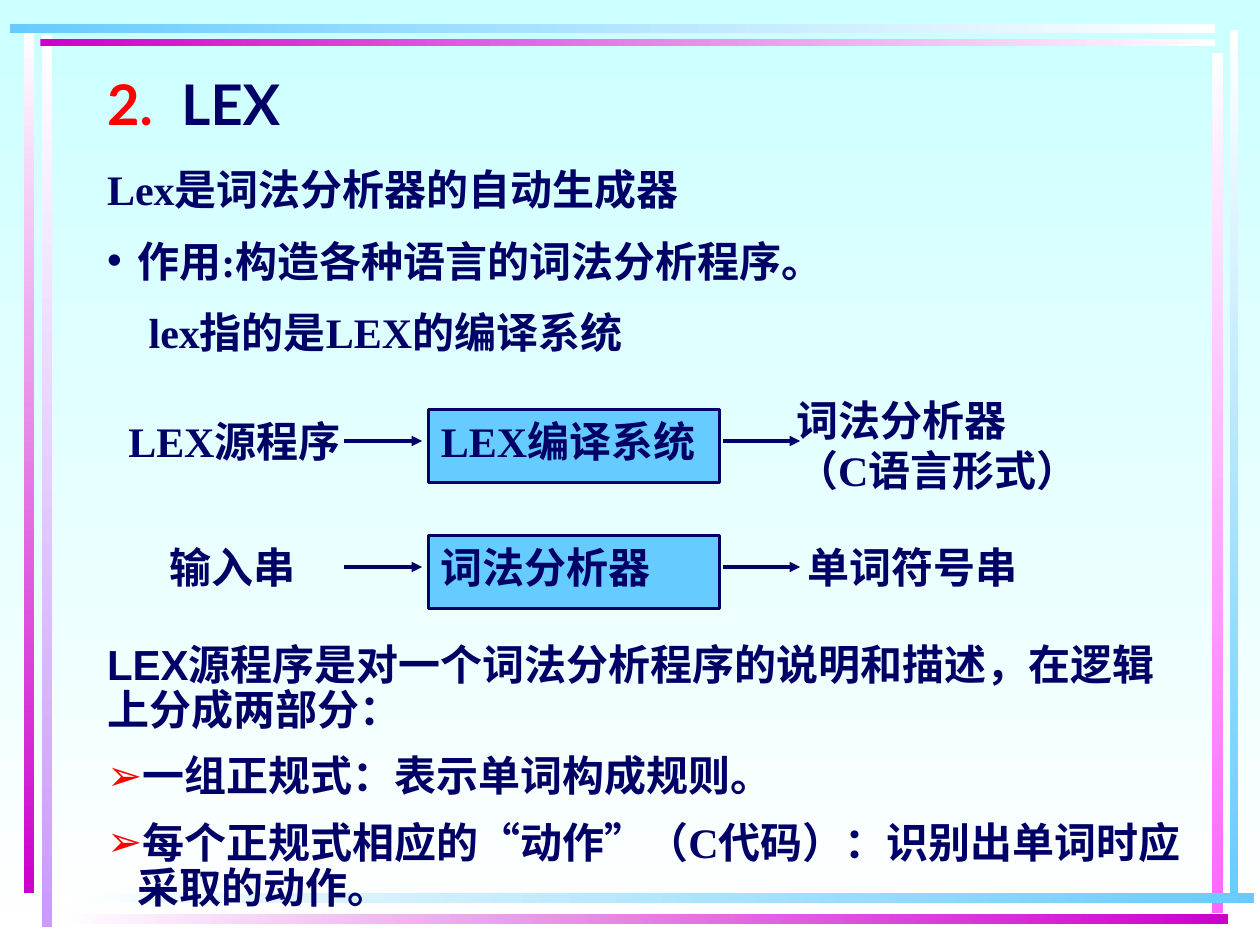
from lxml import etree
from pptx import Presentation
from pptx.dml.color import RGBColor
from pptx.enum.shapes import MSO_CONNECTOR, MSO_SHAPE
from pptx.enum.text import MSO_ANCHOR, MSO_AUTO_SIZE, PP_ALIGN
from pptx.oxml.ns import qn
from pptx.util import Inches, Pt

RECTANGLE = MSO_SHAPE.RECTANGLE
STRAIGHT = MSO_CONNECTOR.STRAIGHT
TOP = MSO_ANCHOR.TOP
NO_AUTOFIT = MSO_AUTO_SIZE.NONE
LEFT, JUSTIFY = PP_ALIGN.LEFT, PP_ALIGN.JUSTIFY

NAVY = RGBColor(0x00, 0x00, 0x66)
RED = RGBColor(0xFF, 0x00, 0x00)
WHITE = RGBColor(0xFF, 0xFF, 0xFF)
PALE_CYAN = RGBColor(0xCC, 0xFF, 0xFF)
SKY = RGBColor(0x66, 0xCC, 0xFF)
LILAC = RGBColor(0xCC, 0x99, 0xFF)
PURPLE = RGBColor(0xCC, 0x00, 0xCC)
PINK = RGBColor(0xFF, 0x66, 0xFF)


def set_gradient(fill, start, end, angle):
    fill.gradient()
    fill.gradient_angle = angle
    for stop, color in zip(fill.gradient_stops, (start, end)):
        stop.color.rgb = color


def write_text(shape, lines, alignment=LEFT, line_spacing=1.0, gap=0):
    """Each line is (text, bullet, bullet colour, left indent, hanging indent)."""
    frame = shape.text_frame
    frame.word_wrap = True
    frame.auto_size = NO_AUTOFIT
    frame.vertical_anchor = TOP
    for index, (text, bullet, bullet_color, indent, hanging) in enumerate(lines):
        paragraph = frame.paragraphs[0] if index == 0 else frame.add_paragraph()
        paragraph.alignment = alignment
        paragraph.line_spacing = line_spacing
        paragraph.space_before = Pt(gap if index else 0)
        properties = paragraph._p.get_or_add_pPr()
        properties.set("marL", str(Inches(indent)))
        properties.set("indent", str(-Inches(hanging)))
        if bullet:
            color = etree.SubElement(properties, qn("a:buClr"))
            etree.SubElement(color, qn("a:srgbClr")).set("val", str(bullet_color))
            etree.SubElement(properties, qn("a:buChar")).set("char", bullet)
        else:
            etree.SubElement(properties, qn("a:buNone"))
        if "\t" in text:
            tabs = etree.SubElement(properties, qn("a:tabLst"))
            tab = etree.SubElement(tabs, qn("a:tab"))
            tab.set("pos", str(Inches(indent)))
            tab.set("algn", "l")
        paragraph.font.name = "Times New Roman"
        paragraph.font.size = Pt(24)
        paragraph.font.bold = True
        paragraph.font.color.rgb = NAVY
        paragraph.add_run().text = text


presentation = Presentation()
presentation.slide_width = Inches(10)
presentation.slide_height = Inches(7.5)
slide = presentation.slides.add_slide(presentation.slide_layouts[3])
set_gradient(slide.background.fill, PALE_CYAN, WHITE, 270)

# Frame bars, placed behind the text: left, top, width, height, colours
bars = [
    (0.33, 0.28, 0.08, 7.08, WHITE, LILAC),
    (0.19, 0.25, 0.08, 6.84, WHITE, PURPLE),
    (9.76, 0.24, 0.07, 6.93, WHITE, SKY),
    (9.62, 0.42, 0.09, 6.83, WHITE, PINK),
    (0.45, 7.09, 9.5, 0.08, WHITE, SKY),
    (0.45, 7.25, 9.3, 0.08, WHITE, PURPLE),
    (0.32, 0.31, 9.32, 0.06, PURPLE, WHITE),
    (0.08, 0.19, 9.56, 0.07, SKY, WHITE),
]
for position, (left, top, width, height, start, end) in enumerate(bars, 2):
    bar = slide.shapes.add_shape(
        RECTANGLE, Inches(left), Inches(top), Inches(width), Inches(height))
    bar.shadow.inherit = False
    bar.line.fill.background()
    set_gradient(bar.fill, start, end, 270 if height > width else 0)
    slide.shapes._spTree.insert(position, bar._element)

# Title and the two lists
title, introduction, parts = slide.placeholders
for placeholder, box in (
    (title, (0.75, 0.5, 8.5, 0.67)),
    (introduction, (0.75, 1.25, 8.17, 1.7)),
    (parts, (0.75, 5.06, 8.83, 2.3)),
):
    placeholder.left, placeholder.top, placeholder.width, placeholder.height = map(Inches, box)

write_text(title, [("2.", None, None, 0.59, 0.59)])
heading = title.text_frame.paragraphs[0]
tabs = etree.SubElement(heading._p.pPr, qn("a:tabLst"))
etree.SubElement(tabs, qn("a:tab")).set("pos", str(Inches(0.59)))
heading._p.pPr.find(qn("a:buNone")).addnext(tabs)
heading.font.name = "Lato"
heading.font.size = Pt(32)
heading.runs[0].font.color.rgb = RED
heading.add_run().text = "\tLEX"

write_text(introduction, [
    ("Lex是词法分析器的自动生成器", None, None, 0, 0),
    ("作用:构造各种语言的词法分析程序。", "•", NAVY, 0.24, 0.24),
    ("lex指的是LEX的编译系统", None, None, 0.33, 0),
], gap=12)

write_text(parts, [
    ("LEX", None, None, 0, 0),
    ("一组正规式：表示单词构成规则。", "➢", RED, 0.24, 0.24),
    ("每个正规式相应的“动作”（C代码）：识别出单词时应采取的动作。", "➢", RED, 0.24, 0.24),
], line_spacing=0.9, gap=12)
summary = parts.text_frame.paragraphs[0]
summary.runs[0].font.name = "Arial"
summary.add_run().text = "源程序是对一个词法分析程序的说明和描述，在逻辑上分成两部分："

# Two flow rows: input, processing box, output
flows = [
    (3.25, (0.92, 2, "LEX源程序"), "LEX编译系统",
     (6.22, 3.08, 0.83, ["词法分析器", "（C语言形式）"])),
    (4.25, (1.25, 1.33, "输入串"), "词法分析器",
     (6.31, 4.25, 0.5, ["单词符号串"])),
]
for row_top, (input_left, input_width, input_text), process_text, output in flows:
    output_left, output_top, output_height, output_lines = output
    input_box = slide.shapes.add_textbox(
        Inches(input_left), Inches(row_top), Inches(input_width), Inches(0.42))
    process_box = slide.shapes.add_shape(
        RECTANGLE, Inches(3.4), Inches(row_top), Inches(2.31), Inches(0.58))
    process_box.shadow.inherit = False
    process_box.fill.solid()
    process_box.fill.fore_color.rgb = SKY
    process_box.line.color.rgb = NAVY
    process_box.line.width = Pt(2)
    output_box = slide.shapes.add_textbox(
        Inches(output_left), Inches(output_top), Inches(2.61), Inches(output_height))
    for box, lines in (
        (input_box, [input_text]), (process_box, [process_text]), (output_box, output_lines),
    ):
        write_text(box, [(line, None, None, 0, 0) for line in lines], JUSTIFY)

    arrow_y = Inches(row_top + 0.25)
    for start_x, end_x in ((2.73, 3.35), (5.74, 6.35)):
        arrow = slide.shapes.add_connector(
            STRAIGHT, Inches(start_x), arrow_y, Inches(end_x), arrow_y)
        arrow.line.color.rgb = NAVY
        arrow.line.width = Pt(2)
        etree.SubElement(arrow.line._get_or_add_ln(), qn("a:tailEnd")).set("type", "triangle")
        etree.SubElement(arrow._element.spPr, qn("a:effectLst"))

presentation.save("out.pptx")
